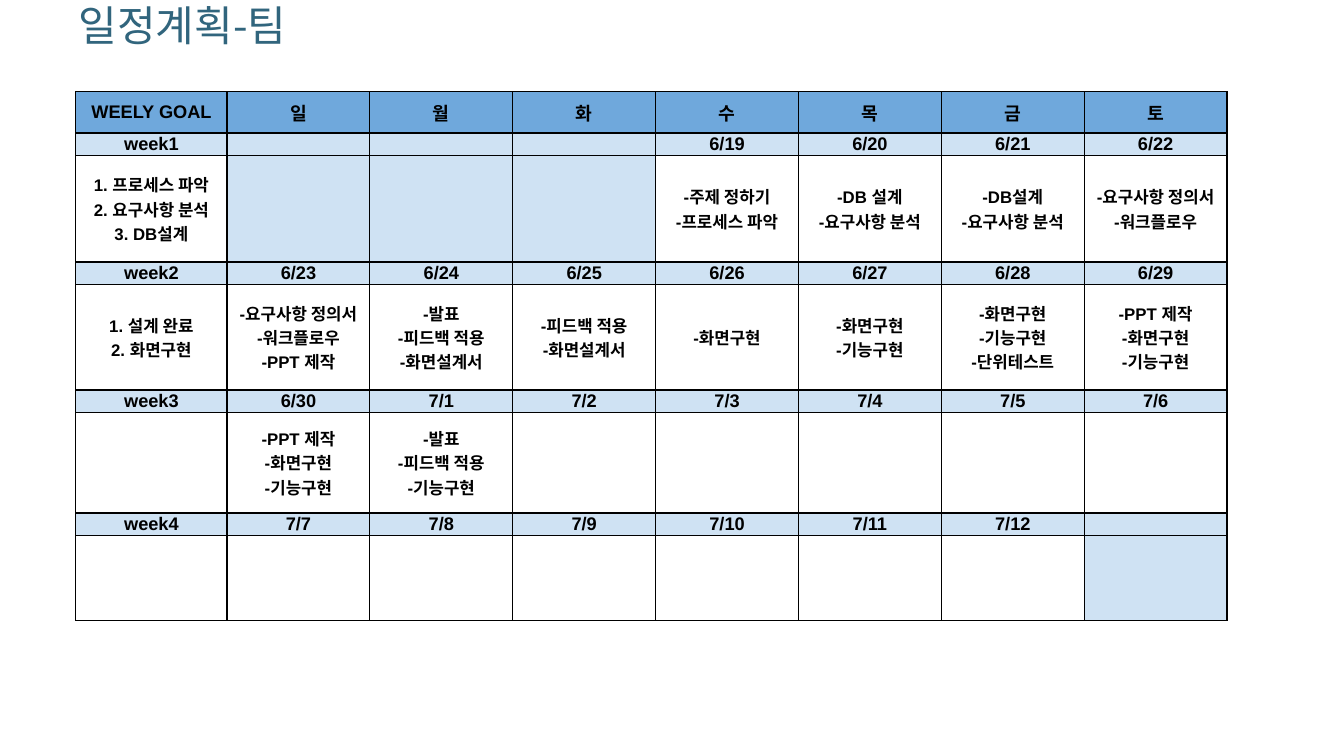
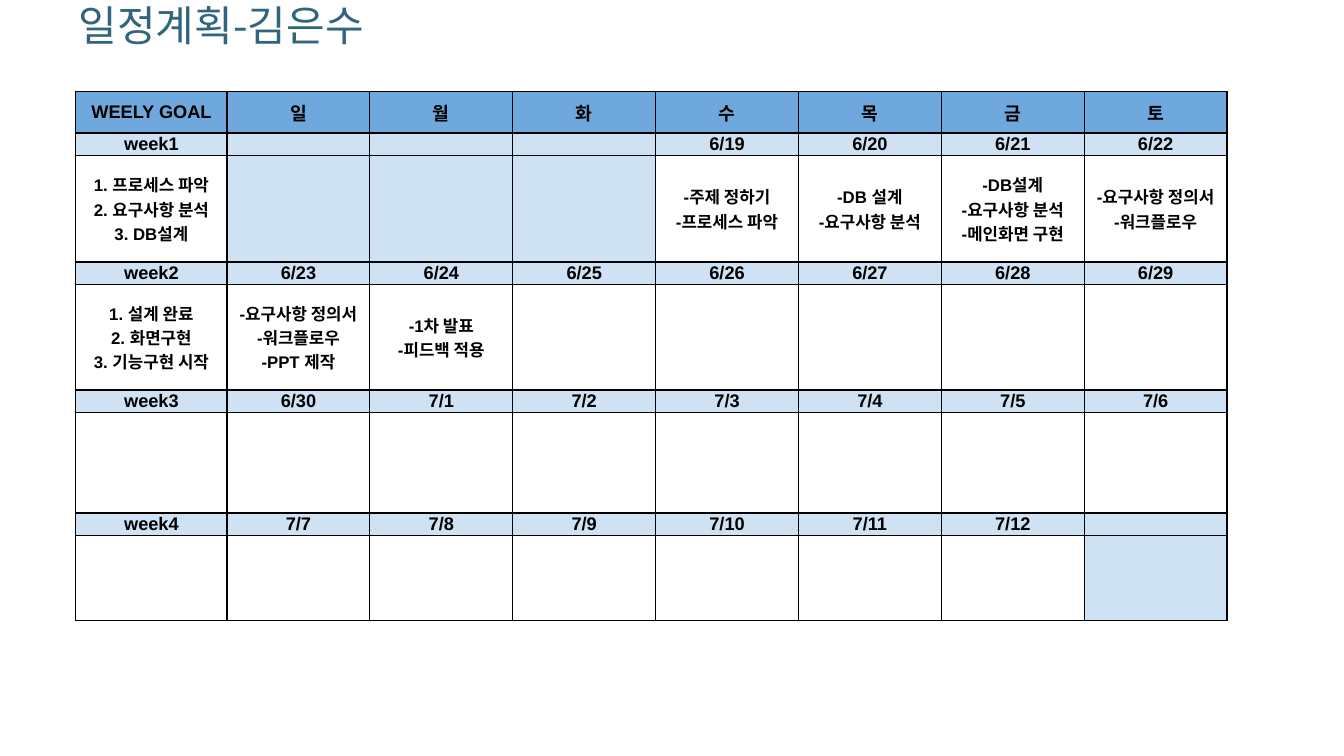
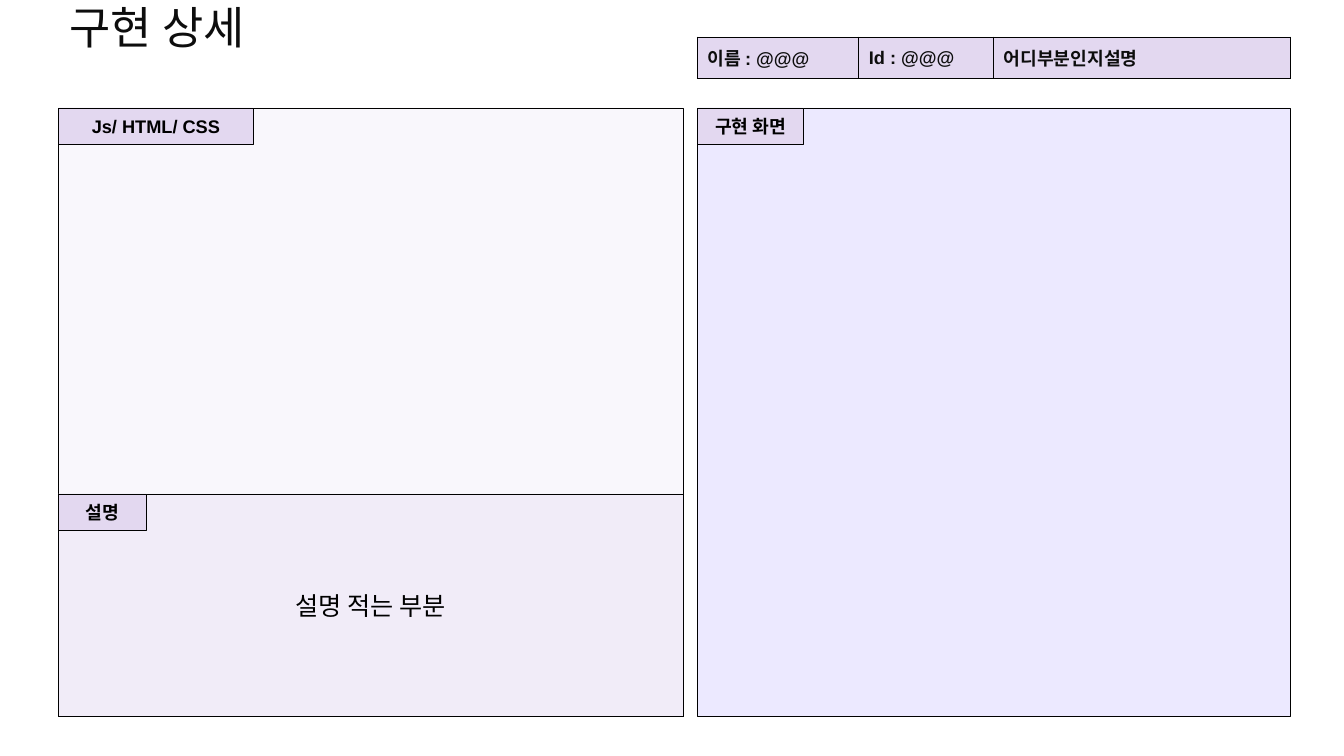
from dataclasses import dataclass

from pptx import Presentation
from pptx.dml.color import RGBColor
from pptx.enum.shapes import MSO_SHAPE as Shape
from pptx.enum.text import MSO_ANCHOR as Anchor, PP_ALIGN as Align
from pptx.oxml.ns import qn
from pptx.oxml.xmlchemy import OxmlElement
from pptx.util import Inches, Pt


@dataclass(frozen=True)
class Theme:
    latin: str = "Arial"
    korean: str = "Noto Sans CJK KR"
    black: str = "000000"
    ink: str = "0D0D0D"
    teal: str = "31657D"
    header: str = "6FA8DC"
    band: str = "CFE2F3"
    tag: str = "E3D8F0"
    lilac: str = "EDE6F6"
    screen: str = "DBD5FF"
    plan_title: int = 30
    detail_title: int = 32
    body: int = 18
    label: int = 13
    task: int = 12
    outline: float = 0.25
    border: int = 1


THEME = Theme()
TITLE_ONLY = 5

# Calendar content: day numbers count on from June, so 31 is 7/1.
WEEKDAYS = "일월화수목금토"
FIRST_SUNDAY, FIRST_DAY, LAST_DAY, JUNE_DAYS = 16, 19, 42, 30
WEEK_HEIGHTS = [14.13, 14, 13.33, 11.33]

FIRST_GOALS = ["1. 프로세스 파악", "2. 요구사항 분석", "3. DB설계"]
SECOND_GOALS = ["1. 설계 완료", "2. 화면구현"]
SHARED_TASKS = {
    "6/19": ["-주제 정하기", "-프로세스 파악"],
    "6/20": ["-DB 설계", "-요구사항 분석"],
    "6/21": ["-DB설계", "-요구사항 분석"],
    "6/22": ["-요구사항 정의서", "-워크플로우"],
    "6/23": ["-요구사항 정의서", "-워크플로우", "-PPT 제작"],
}
BUILD = ["-화면구현", "-기능구현"]
TEAM_TASKS = SHARED_TASKS | {
    "6/24": ["-발표", "-피드백 적용", "-화면설계서"],
    "6/25": ["-피드백 적용", "-화면설계서"],
    "6/26": ["-화면구현"],
    "6/27": BUILD,
    "6/28": BUILD + ["-단위테스트"],
    "6/29": ["-PPT 제작"] + BUILD,
    "6/30": ["-PPT 제작"] + BUILD,
    "7/1": ["-발표", "-피드백 적용", "-기능구현"],
}
MEMBER_TASKS = SHARED_TASKS | {
    "6/21": SHARED_TASKS["6/21"] + ["-메인화면 구현"],
    "6/24": ["-1차 발표", "-피드백 적용"],
}


def date_label(day):
    """Give month/day, or an empty text outside the project."""
    if not FIRST_DAY <= day <= LAST_DAY:
        return ""
    return f"6/{day}" if day <= JUNE_DAYS else f"7/{day - JUNE_DAYS}"


class Board:
    """Draws on the current slide; lengths are percents of its width or height."""

    def __init__(self, theme):
        self.theme = theme
        self.deck = Presentation()
        self.deck.slide_width, self.deck.slide_height = Inches(13.33), Inches(7.5)
        self.slide = None

    def across(self, share):
        return int(self.deck.slide_width * share / 100)

    def down(self, share):
        return int(self.deck.slide_height * share / 100)

    def area(self, left, top, width, height):
        return self.across(left), self.down(top), self.across(width), self.down(height)

    def fill_text(self, frame, lines, size, color, align=Align.CENTER, bold=True, latin=None):
        frame.word_wrap = True
        look = {"name": latin or self.theme.latin, "size": Pt(size), "bold": bold}
        for index, line in enumerate(lines or [""]):
            para = frame.add_paragraph() if index else frame.paragraphs[0]
            para.alignment = align
            if not line:
                end = OxmlElement("a:endParaRPr")
                end.set("sz", str(size * 100))
                para._p.append(end)
                continue
            span = para.add_run()
            span.text = line
            for name, value in look.items():
                setattr(span.font, name, value)
            span.font.color.rgb = RGBColor.from_string(color)
            korean = OxmlElement("a:ea")
            korean.set("typeface", self.theme.korean)
            span._r.get_or_add_rPr().append(korean)

    def add_slide(self, title, size, color, indent=0.1):
        self.slide = self.deck.slides.add_slide(self.deck.slide_layouts[TITLE_ONLY])
        box = self.slide.shapes.title
        box.left, box.top, box.width, box.height = self.area(4.43, 0, 32.33, 8.13)
        frame = box.text_frame
        margins = {"margin_left": Inches(indent), "margin_top": 0, "margin_bottom": 0}
        for name, value in margins.items():
            setattr(frame, name, value)
        frame.vertical_anchor = Anchor.TOP
        self.fill_text(frame, [title], size, color, Align.LEFT, False, self.theme.korean)

    def table(self, left, top, widths, heights):
        table = self.slide.shapes.add_table(
            len(heights), len(widths),
            *self.area(left, top, sum(widths), sum(heights))).table
        table.first_row = table.horz_banding = False
        for column, width in zip(table.columns, widths):
            column.width = self.across(width)
        for row, height in zip(table.rows, heights):
            row.height = self.down(height)
        return table

    def cell(self, cell, lines, size, fill=None, color=None, align=Align.CENTER, margin=0):
        sides = {"margin_left": margin, "margin_right": margin,
                 "margin_top": 0, "margin_bottom": 0, "vertical_anchor": Anchor.MIDDLE}
        for name, value in sides.items():
            setattr(cell, name, value)
        self.fill_text(cell.text_frame, lines, size, color or self.theme.black, align)
        self.borders(cell)
        if fill:
            cell.fill.solid()
            cell.fill.fore_color.rgb = RGBColor.from_string(fill)
        else:
            cell.fill.background()

    def borders(self, cell):
        properties = cell._tc.get_or_add_tcPr()
        for side in ("a:lnL", "a:lnR", "a:lnT", "a:lnB"):
            line, fill, color = map(OxmlElement, (side, "a:solidFill", "a:srgbClr"))
            line.set("w", str(Pt(self.theme.border)))
            color.set("val", self.theme.black)
            fill.append(color)
            line.append(fill)
            properties.append(line)

    def panel(self, area, fill, opacity=100):
        box = self.slide.shapes.add_shape(Shape.RECTANGLE, *self.area(*area))
        box.shadow.inherit = False
        box.fill.solid()
        box.fill.fore_color.rgb = RGBColor.from_string(fill)
        if opacity < 100:
            alpha = OxmlElement("a:alpha")
            alpha.set("val", str(opacity * 1000))
            box._element.spPr.find(qn("a:solidFill"))[0].append(alpha)
        box.line.color.rgb = RGBColor.from_string(self.theme.black)
        box.line.width = Pt(self.theme.outline)
        box.text_frame.vertical_anchor = Anchor.MIDDLE
        return box

    def tag(self, left, top, width, text):
        box = self.panel((left, top, width, 4.8), self.theme.tag)
        self.fill_text(box.text_frame, [text], self.theme.label, self.theme.black)

    def calendar(self, goals, tasks):
        """Draw a header, then a date row and a task row for each week."""
        theme = self.theme
        heights = [5.47] + [part for week in WEEK_HEIGHTS for part in (2.93, week)]
        table = self.table(5.64, 12.13, [11.25] + [10.63] * 7, heights)
        for column, name in enumerate(["WEELY GOAL", *WEEKDAYS]):
            self.cell(table.cell(0, column), [name], theme.label, theme.header)
        for week, goal in enumerate(goals):
            row = 1 + 2 * week
            self.cell(table.cell(row, 0), [f"week{week + 1}"], theme.label, theme.band)
            self.cell(table.cell(row + 1, 0), goal, theme.task)
            for weekday in range(7):
                date = date_label(FIRST_SUNDAY + 7 * week + weekday)
                self.cell(table.cell(row, weekday + 1), [date], theme.label, theme.band)
                self.cell(table.cell(row + 1, weekday + 1), tasks.get(date), theme.task,
                          None if date else theme.band)


def plan_slide(board, owner, goals, tasks):
    board.add_slide(f"일정계획-{owner}", THEME.plan_title, THEME.teal, indent=0.19)
    board.calendar(goals, tasks)


def detail_slide(board):
    left, right, top, middle = 4.35, 51.9, 14.27, 65.33
    left_width, right_width, height = 46.5, 44.1, 80.53
    board.add_slide("구현 상세", THEME.detail_title, THEME.ink)

    info = board.table(right, 4.93, [12, 10.05, 22.05], [5.47])
    for column, text in enumerate(["이름 : @@@", "Id : @@@", "어디부분인지설명"]):
        board.cell(info.cell(0, column), [text], THEME.label, THEME.tag, THEME.ink,
                   Align.LEFT, Inches(0.1))

    board.panel((right, top, right_width, height), THEME.screen, 50)
    board.panel((left, top, left_width, height), THEME.lilac, 30)
    notes = board.panel((left, middle, left_width, top + height - middle), THEME.lilac, 60)
    board.fill_text(notes.text_frame, ["설명 적는 부분"], THEME.body, THEME.black,
                    bold=False, latin=THEME.korean)
    board.tag(right, top, 7.9, "구현 화면")
    board.tag(left, top, 14.48, "Js/ HTML/ CSS")
    board.tag(left, middle, 6.55, "설명")


def main():
    board = Board(THEME)
    plan_slide(board, "팀", [FIRST_GOALS, SECOND_GOALS, [], []], TEAM_TASKS)
    plan_slide(board, "김은수",
               [FIRST_GOALS, SECOND_GOALS + ["3. 기능구현 시작"], [], []], MEMBER_TASKS)
    detail_slide(board)
    board.deck.save("out.pptx")


if __name__ == "__main__":
    main()
